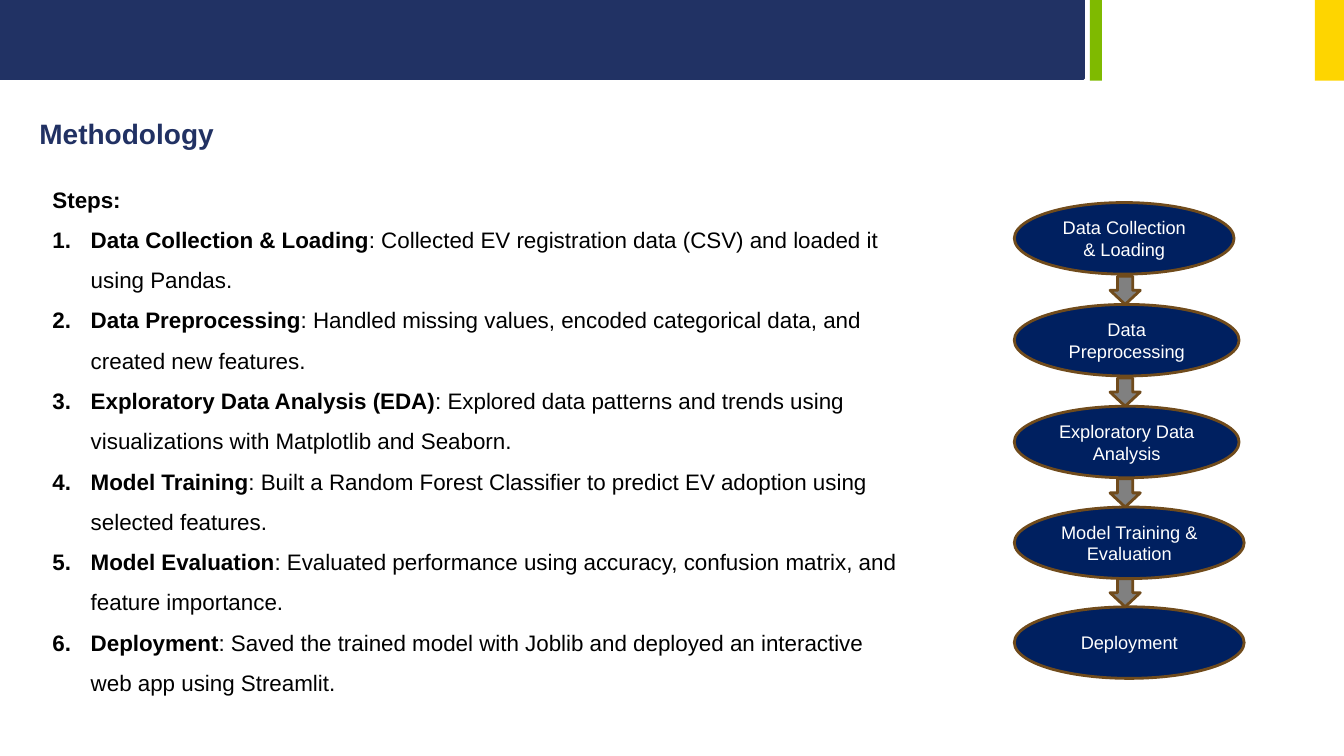
from lxml.etree import SubElement
from pptx import Presentation
from pptx.dml.color import RGBColor
from pptx.enum.shapes import MSO_SHAPE
from pptx.enum.text import MSO_ANCHOR, MSO_AUTO_SIZE, PP_ALIGN
from pptx.oxml.ns import qn
from pptx.util import Pt

PX = 9144  # 100 px to the inch


def color(value):
    return RGBColor.from_string(value)


def add_box(kind, left, top, width, height, fill, line=None):
    shape = slide.shapes.add_shape(kind, left * PX, top * PX, width * PX, height * PX)
    shape.shadow.inherit = False
    shape.fill.solid()
    shape.fill.fore_color.rgb = color(fill)
    if line:
        shape.line.color.rgb = color(line)
        shape.line.width = Pt(2)
    else:
        shape.line.fill.background()
    return shape


presentation = Presentation()
presentation.slide_width = 1333 * PX
presentation.slide_height = 750 * PX
slide = presentation.slides.add_slide(presentation.slide_layouts[1])

# Header bars
for left, width, height, fill, line in [
    (0, 1075, 78, "213264", "213264"),
    (1081, 12, 80, "7FBA00", None),
    (1304, 29, 80, "FED500", None),
]:
    add_box(MSO_SHAPE.RECTANGLE, left, 0, width, height, fill, line)

# Title and body placeholders
title, body = slide.shapes.title, slide.placeholders[1]
for placeholder, left, top, width, height in [
    (title, 29, 111, 667, 44),
    (body, 42, 166, 866, 581),
]:
    placeholder.left, placeholder.top = left * PX, top * PX
    placeholder.width, placeholder.height = width * PX, height * PX
    frame = placeholder.text_frame
    frame.word_wrap = True
    frame.auto_size = MSO_AUTO_SIZE.NONE
    frame.vertical_anchor = MSO_ANCHOR.TOP

title.text_frame.text = "Methodology"
paragraph = title.text_frame.paragraphs[0]
paragraph.alignment = PP_ALIGN.LEFT
title_format = {"name": "Arial", "size": Pt(20), "bold": True}
for name, value in title_format.items():
    setattr(paragraph.runs[0].font, name, value)
paragraph.runs[0].font.color.rgb = color("213163")

# Numbered steps: bold name, then plain description
steps = [
    ("Steps:", ""),
    ("Data Collection & Loading",
     ": Collected EV registration data (CSV) and loaded it using Pandas."),
    ("Data Preprocessing",
     ": Handled missing values, encoded categorical data, and created new features."),
    ("Exploratory Data Analysis (EDA)",
     ": Explored data patterns and trends using visualizations with Matplotlib and Seaborn."),
    ("Model Training",
     ": Built a Random Forest Classifier to predict EV adoption using selected features."),
    ("Model Evaluation",
     ": Evaluated performance using accuracy, confusion matrix, and feature importance."),
    ("Deployment",
     ": Saved the trained model with Joblib and deployed an interactive web app using Streamlit."),
]
frame = body.text_frame
for index, (step, description) in enumerate(steps):
    paragraph = frame.add_paragraph() if index else frame.paragraphs[0]
    paragraph.line_spacing = 1.5
    paragraph.space_before = Pt(0)
    properties = paragraph._p.get_or_add_pPr()
    indent = 38 * PX if index else 0
    properties.set("marL", str(indent))
    properties.set("indent", str(-indent))
    if index:
        SubElement(properties, qn("a:buFont"), typeface="+mj-lt")
        SubElement(properties, qn("a:buAutoNum"), type="arabicPeriod")
    else:
        SubElement(properties, qn("a:buNone"))
    for text, bold in [(step, True), (description, False)]:
        if text:
            run = paragraph.add_run()
            run.text = text
            for name, value in {"name": "Arial", "size": Pt(16), "bold": bold}.items():
                setattr(run.font, name, value)
            run.font.color.rgb = color("000000")

# Flow chart: stages
stages = [
    ("Data Collection & Loading", 201, 218),
    ("Data Preprocessing", 302, 223),
    ("Exploratory Data Analysis", 403, 223),
    ("Model Training & Evaluation", 503, 228),
    ("Deployment", 602, 228),
]
for label, top, width in stages:
    stage = add_box(MSO_SHAPE.OVAL, 1006, top, width, 71, "002060", "704B1C")
    frame = stage.text_frame
    frame.word_wrap = True
    frame.vertical_anchor = MSO_ANCHOR.MIDDLE
    frame.text = label
    paragraph = frame.paragraphs[0]
    paragraph.alignment = PP_ALIGN.CENTER
    for name, value in {"name": "Arial", "size": Pt(13)}.items():
        setattr(paragraph.runs[0].font, name, value)
    paragraph.runs[0].font.color.rgb = color("FFFFFF")

# Flow chart: each arrow ends at the top of the next stage
for label, top, width in stages[1:]:
    add_box(MSO_SHAPE.DOWN_ARROW, 1101, top - 28, 30, 28, "808080", "704B1C")

presentation.save("out.pptx")
